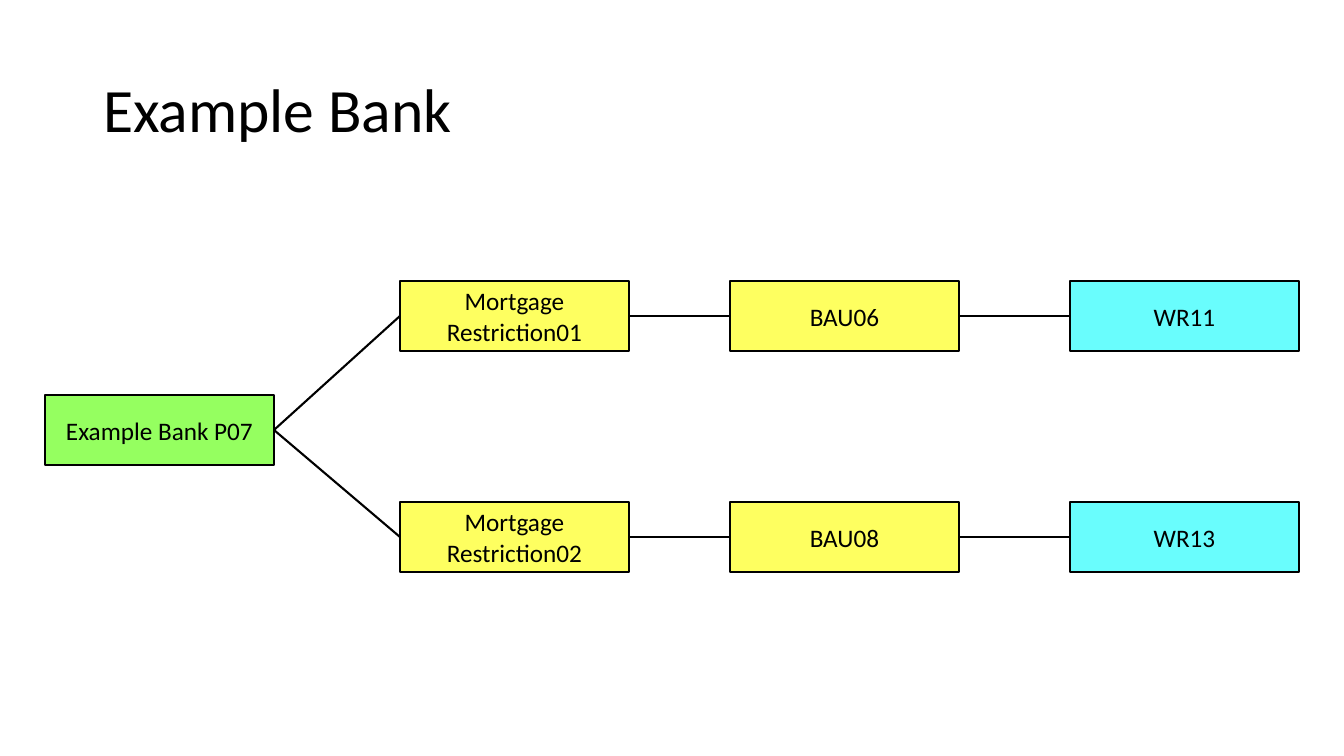
from dataclasses import dataclass

from pptx import Presentation
from pptx.dml.color import RGBColor
from pptx.enum.shapes import MSO_CONNECTOR as CONN, MSO_SHAPE as SHAPE
from pptx.enum.text import MSO_ANCHOR as ANCHOR, MSO_AUTO_SIZE as AUTO, PP_ALIGN as ALIGN
from pptx.oxml.ns import qn
from pptx.util import Emu, Pt

EMU_PER_PX = 914400 / 100.8
RIGHT, LEFT = 3, 1


@dataclass(frozen=True)
class Theme:
    font: str = "Calibri"
    ink: str = "000000"
    bank: str = "95FF60"
    step: str = "FEFF60"
    rule: str = "69FDFD"
    title_size: float = 44
    box_size: float = 18
    line_width: float = 1.5


def px(n):
    return Emu(round(n * EMU_PER_PX))


def assign(obj, values):
    for name, value in values.items():
        setattr(obj, name, value)


class Diagram:
    def __init__(self, slide, theme):
        self.slide, self.theme = slide, theme

    def label(self, sp, text, size, align, spacing=None):
        tf = sp.text_frame
        assign(tf, {"word_wrap": True, "auto_size": AUTO.NONE,
                    "vertical_anchor": ANCHOR.MIDDLE})
        p = tf.paragraphs[0]
        assign(p, {"alignment": align, "line_spacing": spacing})
        r = p.add_run()
        r.text = text
        assign(r.font, {"name": self.theme.font, "size": Pt(size)})
        r.font.color.rgb = RGBColor.from_string(self.theme.ink)

    def stroke(self, s):
        s.line.color.rgb = RGBColor.from_string(self.theme.ink)
        s.line.width = Pt(self.theme.line_width)

    def title(self, text, x, y, w, h):
        sp = self.slide.shapes.title
        assign(sp, {"left": px(x), "top": px(y), "width": px(w), "height": px(h)})
        self.label(sp, text, self.theme.title_size, ALIGN.LEFT, 0.9)

    def box(self, text, x, y, fill, w=229, h=70):
        sp = self.slide.shapes.add_shape(SHAPE.RECTANGLE, px(x), px(y), px(w), px(h))
        sp.shadow.inherit = False
        sp.fill.solid()
        sp.fill.fore_color.rgb = RGBColor.from_string(fill)
        self.stroke(sp)
        self.label(sp, text, self.theme.box_size, ALIGN.CENTER)
        return sp

    def link(self, start, end):
        c = self.slide.shapes.add_connector(CONN.STRAIGHT, 0, 0, 0, 0)
        c.begin_connect(start, RIGHT)
        c.end_connect(end, LEFT)
        self.stroke(c)
        props = c._element.spPr
        props.append(props.makeelement(qn("a:effectLst"), {}))


def main():
    prs = Presentation()
    assign(prs, {"slide_width": px(1344), "slide_height": px(756)})
    theme = Theme()
    d = Diagram(prs.slides.add_slide(prs.slide_layouts[5]), theme)

    # Title and root of the tree
    d.title("Example Bank", 93, 40, 1159, 146)
    root = d.box("Example Bank P07", 45, 395, theme.bank)

    # One branch per row, each box linked to the one before
    columns = [(400, theme.step), (730, theme.step), (1070, theme.rule)]
    branches = {
        281: ["Mortgage Restriction01", "BAU06", "WR11"],
        502: ["Mortgage Restriction02", "BAU08", "WR13"],
    }
    for y, names in branches.items():
        previous = root
        for (x, fill), name in zip(columns, names):
            current = d.box(name, x, y, fill)
            d.link(previous, current)
            previous = current

    prs.save("out.pptx")


if __name__ == "__main__":
    main()
